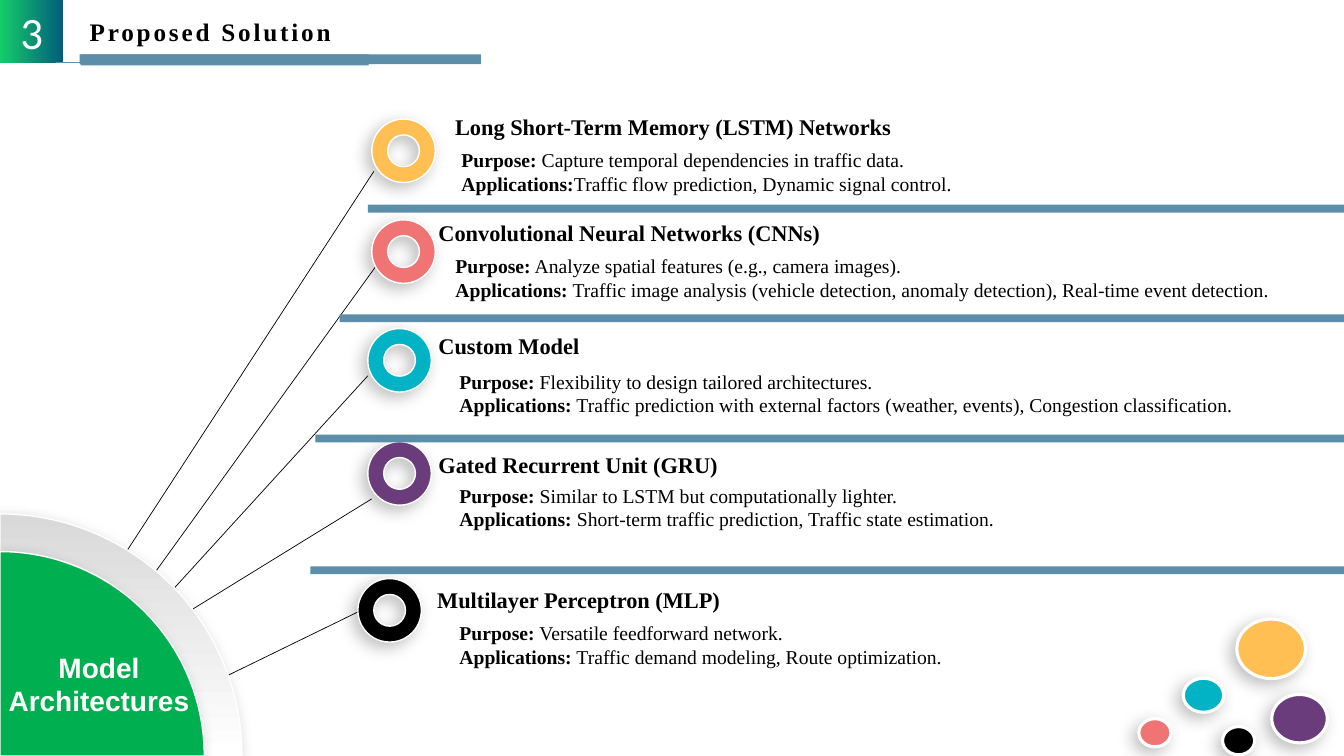
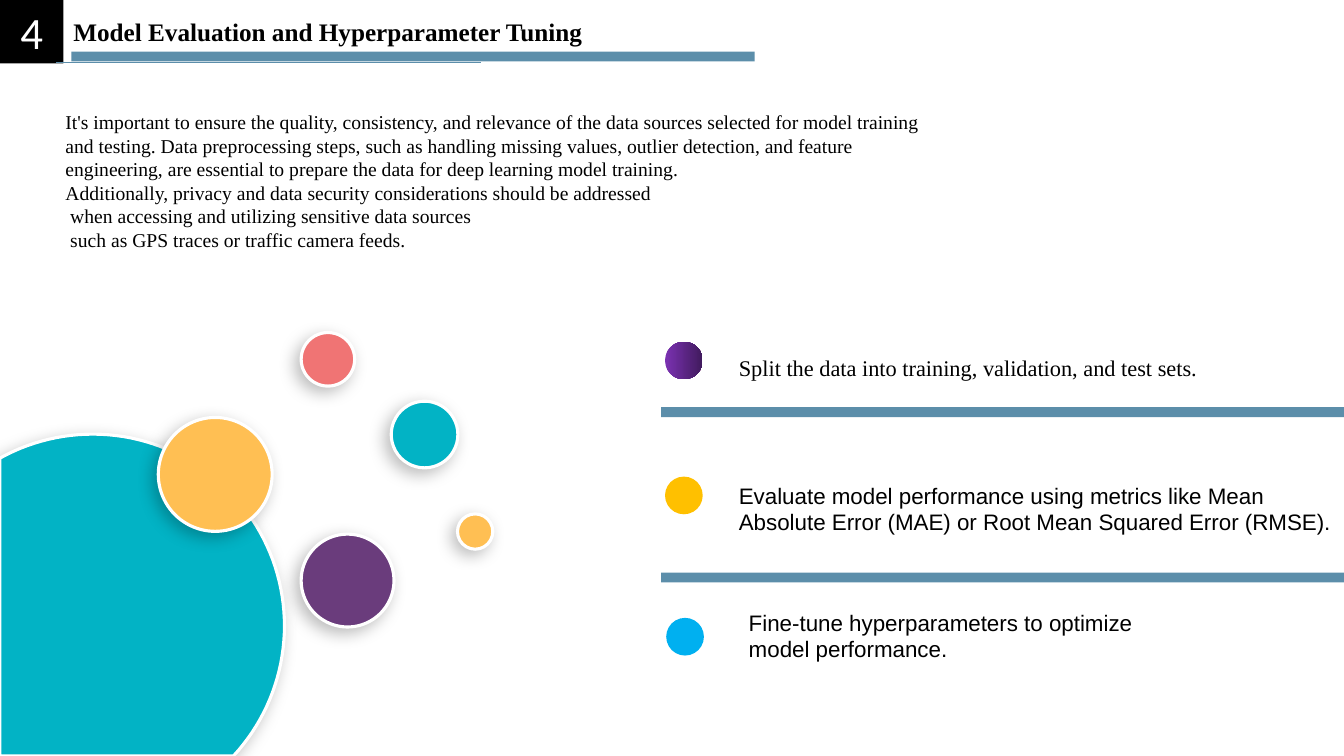
from dataclasses import dataclass
from math import cos, radians, sin

from lxml.etree import SubElement
from pptx import Presentation
from pptx.dml.color import RGBColor
from pptx.enum.shapes import MSO_CONNECTOR, MSO_SHAPE
from pptx.enum.text import MSO_ANCHOR, PP_ALIGN
from pptx.oxml.ns import qn
from pptx.util import Cm, Pt

SLIDE_WIDTH = 33.87
SLIDE_HEIGHT = 19.05


@dataclass(frozen=True)
class Theme:
    white: str = "FFFFFF"
    black: str = "000000"
    grey: str = "D9D9D9"
    steel: str = "5C8EAA"
    amber: str = "FFBF53"
    coral: str = "F07474"
    teal: str = "02B3C5"
    purple: str = "6A3C7C"
    green: str = "00B050"
    gold: str = "FFC000"
    sky: str = "00B0F0"
    badge_gradient: tuple = ("14CD68", "035C7D")
    violet_gradient: tuple = ("7B32B2", "401A5D")
    serif: str = "Times New Roman"
    sans: str = "Arial"
    badge_font: str = "Calibri"
    badge_size: int = 32
    hub_size: int = 20
    title_size: int = 18
    heading_size: int = 16
    body_size: int = 14


class Deck:
    def __init__(self, theme):
        self.theme = theme
        self.presentation = Presentation()
        self.presentation.slide_width = Cm(SLIDE_WIDTH)
        self.presentation.slide_height = Cm(SLIDE_HEIGHT)
        self.slide = None

    def new_slide(self):
        self.slide = self.presentation.slides.add_slide(self.presentation.slide_layouts[6])

    def paint(self, shape, fill, outline=None, angle=0, shadow=False):
        if isinstance(fill, tuple):
            shape.fill.gradient()
            shape.fill.gradient_angle = angle
            for stop, colour in zip(shape.fill.gradient_stops, fill):
                stop.color.rgb = RGBColor.from_string(colour)
        else:
            shape.fill.solid()
            shape.fill.fore_color.rgb = RGBColor.from_string(fill)
        if outline:
            shape.line.color.rgb = RGBColor.from_string(self.theme.white)
            shape.line.width = Pt(outline)
        else:
            shape.line.fill.background()
        shape.shadow.inherit = False
        if shadow:
            effects = shape._element.spPr.find(qn("a:effectLst"))
            outer = SubElement(effects, qn("a:outerShdw"), blurRad=str(Pt(12)),
                               dist=str(Pt(5)), dir="8100000", algn="tr", rotWithShape="0")
            colour = SubElement(outer, qn("a:srgbClr"), val=self.theme.black)
            SubElement(colour, qn("a:alpha"), val="26000")

    def shape(self, kind, left, top, width, height, fill, **style):
        shape = self.slide.shapes.add_shape(kind, Cm(left), Cm(top), Cm(width), Cm(height))
        self.paint(shape, fill, **style)
        return shape

    def bar(self, left, top, height, width=None):
        self.shape(MSO_SHAPE.RECTANGLE, left, top, width or SLIDE_WIDTH - left, height,
                   self.theme.steel)

    def bubble(self, left, top, width, height, fill):
        self.shape(MSO_SHAPE.OVAL, left, top, width, height, fill, outline=2.25, shadow=True)

    def dot(self, left, top, fill):
        self.shape(MSO_SHAPE.OVAL, left, top, 0.95, 0.95, fill)

    def ring(self, left, top, fill):
        self.shape(MSO_SHAPE.DONUT, left, top, 1.6, 1.6, fill, outline=1, shadow=True)

    def corner_disc(self, centre, radius, start, end, fill, **style):
        steps = 72
        angles = [radians(start + (end - start) * step / steps) for step in range(steps + 1)]
        points = [(Cm(centre[0] + radius * cos(angle)), Cm(centre[1] + radius * sin(angle)))
                  for angle in angles]
        builder = self.slide.shapes.build_freeform(*points[0])
        builder.add_line_segments(points[1:] + [(Cm(0), Cm(SLIDE_HEIGHT))], close=True)
        self.paint(builder.convert_to_shape(), fill, shadow=True, **style)

    def line(self, start, end, colour):
        connector = self.slide.shapes.add_connector(
            MSO_CONNECTOR.STRAIGHT, *(Cm(value) for value in start + end))
        connector.line.color.rgb = RGBColor.from_string(colour)
        connector.line.width = Pt(0.5)
        SubElement(connector._element.spPr, qn("a:effectLst"))

    def run(self, paragraph, text, size, font, colour=None, bold=False, spacing=0):
        run = paragraph.add_run()
        run.text = text
        run.font.size = Pt(size)
        run.font.name = font
        run.font.bold = bold
        run.font.color.rgb = RGBColor.from_string(colour or self.theme.black)
        if spacing:
            run._r.get_or_add_rPr().set("spc", str(spacing * 100))

    def text(self, left, top, width, height, paragraphs, size, font=None,
             align=PP_ALIGN.LEFT, wrap=True, **style):
        box = self.slide.shapes.add_textbox(Cm(left), Cm(top), Cm(width), Cm(height))
        frame = box.text_frame
        frame.word_wrap = wrap
        frame.margin_left = frame.margin_right = frame.margin_top = frame.margin_bottom = 0
        for index, runs in enumerate(paragraphs):
            paragraph = frame.paragraphs[0] if index == 0 else frame.add_paragraph()
            paragraph.alignment = align
            for text, bold in runs:
                self.run(paragraph, text, size, font or self.theme.serif, bold=bold, **style)
        return frame

    def header(self, number, title, title_left, badge_fill, bars, spacing=0):
        theme = self.theme
        badge = self.shape(MSO_SHAPE.RECTANGLE, 0, 0, 1.6, 1.6, badge_fill)
        badge.text_frame.vertical_anchor = MSO_ANCHOR.MIDDLE
        paragraph = badge.text_frame.paragraphs[0]
        paragraph.alignment = PP_ALIGN.CENTER
        self.run(paragraph, number, theme.badge_size, theme.badge_font, theme.white)
        self.line((12.12, 1.57), (1.4, 1.57), theme.steel)
        for left, top, width, height in bars:
            self.bar(left, top, height, width)
        self.text(title_left, 0.41, 15, 0.8, [[(title, True)]], theme.title_size,
                  spacing=spacing)


def architectures_slide(deck):
    theme = deck.theme
    deck.new_slide()
    deck.header("3", "Proposed Solution", 2.26, theme.badge_gradient,
                [(2.03, 1.37, 7.26, 0.28), (2.01, 1.37, 10.11, 0.25)], spacing=2)

    spokes = [
        ((9.42, 4.32), (1.65, 16.26)),
        ((9.53, 6.63), (2.64, 16.18)),
        ((9.27, 9.47), (1.6, 17.88)),
        ((9.37, 12.57), (2.03, 17.09)),
        ((9.02, 15.42), (5.74, 17.02)),
    ]
    for start, end in spokes:
        deck.line(start, end, theme.black)

    corner = (0, SLIDE_HEIGHT)
    deck.corner_disc(corner, 6.1, -90, 0, (theme.white, theme.grey), angle=90, outline=1)
    deck.corner_disc(corner, 5.15, -90, 0, theme.green, outline=1)
    deck.text(0.03, 16.38, 4.93, 1.7, [[("Model Architectures", True)]], theme.hub_size,
              theme.sans, PP_ALIGN.CENTER, colour=theme.white)

    models = [
        (theme.amber, (9.37, 3), (11.47, 2.84), (11.63, 3.73),
         "Long Short-Term Memory (LSTM) Networks",
         " Capture temporal dependencies in traffic data.",
         "Traffic flow prediction, Dynamic signal control."),
        (theme.coral, (9.37, 5.54), (11.05, 5.51), (11.48, 6.4),
         "Convolutional Neural Networks (CNNs)",
         " Analyze spatial features (e.g., camera images).",
         " Traffic image analysis (vehicle detection, anomaly detection), "
         "Real-time event detection."),
        (theme.teal, (9.27, 8.28), (11.05, 8.38), (11.58, 9.32),
         "Custom Model",
         " Flexibility to design tailored architectures.",
         " Traffic prediction with external factors (weather, events), "
         "Congestion classification."),
        (theme.purple, (9.27, 11.13), (11.05, 11.38), (11.58, 12.19),
         "Gated Recurrent Unit (GRU)",
         " Similar to LSTM but computationally lighter.",
         " Short-term traffic prediction, Traffic state estimation."),
        (theme.black, (9.02, 14.58), (11.02, 14.76), (11.58, 15.65),
         "Multilayer Perceptron (MLP)",
         " Versatile feedforward network.",
         " Traffic demand modeling, Route optimization."),
    ]
    for colour, ring, heading, detail, name, purpose, applications in models:
        deck.ring(*ring, colour)
        deck.text(*heading, 12.4, 0.69, [[(name, True)]], theme.heading_size)
        deck.text(*detail, 21.5, 1.2,
                  [[("Purpose:", True), (purpose, False)],
                   [("Applications:", True), (applications, False)]], theme.body_size)

    for left, top in [(9.27, 5.16), (8.56, 7.92), (7.95, 10.95), (7.82, 14.27)]:
        deck.bar(left, top, 0.2)

    bubbles = [
        (32.05, 17.5, 1.4, 1.22, theme.purple),
        (29.82, 17.09, 1.02, 0.86, theme.teal),
        (31.17, 15.6, 1.73, 1.5, theme.amber),
        (28.7, 18.11, 0.81, 0.71, theme.coral),
        (30.81, 18.31, 0.81, 0.71, theme.black),
    ]
    for bubble in bubbles:
        deck.bubble(*bubble)


def evaluation_slide(deck):
    theme = deck.theme
    deck.new_slide()
    deck.header("4", "Model Evaluation and Hyperparameter Tuning", 1.85, theme.black,
                [(1.8, 1.3, 17.22, 0.25)])

    deck.corner_disc((2.34, 15.77), 4.83, -119, 42.75, theme.teal, outline=2.25)
    bubbles = [
        (7.59, 13.46, 2.34, theme.purple),
        (9.86, 10.11, 1.68, theme.teal),
        (3.99, 10.52, 2.87, theme.amber),
        (7.59, 8.38, 1.35, theme.coral),
        (11.53, 12.95, 0.89, theme.amber),
    ]
    for left, top, diameter, colour in bubbles:
        deck.bubble(left, top, diameter, diameter, colour)

    steps = [
        ((16.76, 8.61), theme.violet_gradient, (18.62, 8.92), 14.99, theme.serif,
         "Split the data into training, validation, and test sets."),
        ((16.76, 12.01), theme.gold, (18.62, 12.14), 14.99, theme.sans,
         "Evaluate model performance using metrics like Mean Absolute Error (MAE) "
         "or Root Mean Squared Error (RMSE)."),
        ((16.79, 15.57), theme.sky, (18.87, 15.34), 11.3, theme.sans,
         "Fine-tune hyperparameters to optimize model performance."),
    ]
    for dot, colour, position, width, font, text in steps:
        deck.dot(*dot, colour)
        deck.text(*position, width, 1.37, [[(text, False)]], theme.heading_size, font)
    for top in (10.26, 14.43):
        deck.bar(16.66, top, 0.25)

    lines = [
        "It's important to ensure the quality, consistency, and relevance of the data "
        "sources selected for model training",
        "and testing. Data preprocessing steps, such as handling missing values, "
        "outlier detection, and feature",
        "engineering, are essential to prepare the data for deep learning model training.",
        "Additionally, privacy and data security considerations should be addressed",
        "when accessing and utilizing sensitive data sources",
        "such as GPS traces or traffic camera feeds.",
    ]
    frame = deck.text(1.65, 2.77, 21.64, 3.58, [[(line, False)] for line in lines],
                      theme.body_size, wrap=False)
    for paragraph in frame.paragraphs[-2:]:
        paragraph._p.get_or_add_pPr().set("marL", str(Cm(0.12)))


def main():
    deck = Deck(Theme())
    architectures_slide(deck)
    evaluation_slide(deck)
    deck.presentation.save("out.pptx")


if __name__ == "__main__":
    main()
